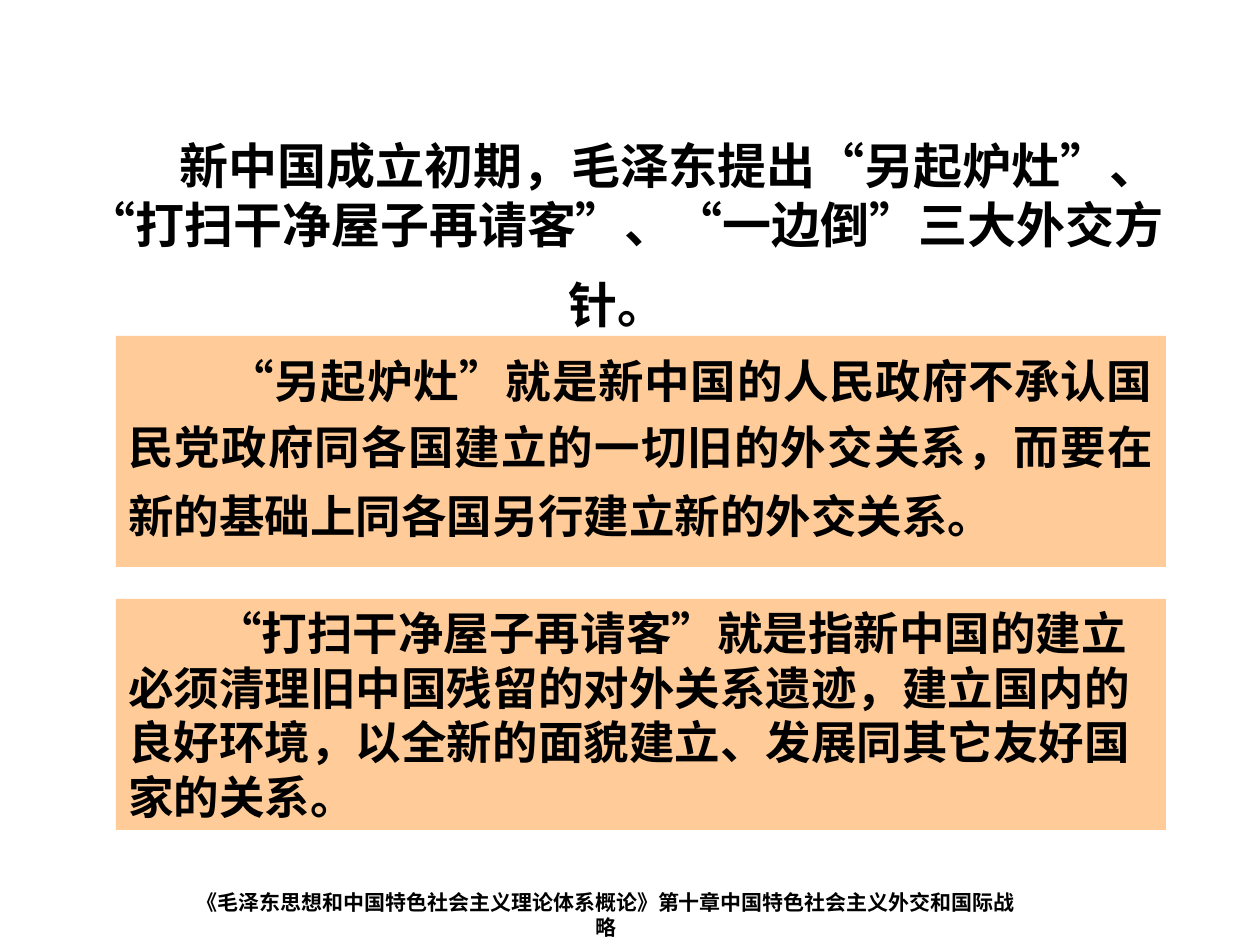
import pptx
import pptx.dml.color
import pptx.enum.shapes
import pptx.enum.text
import pptx.util

PX = 914400 / 126
COLORS = {"text": "000000", "panel": "FFCC99"}
FONT = "Arial"
ALIGN = pptx.enum.text.PP_ALIGN
ANCHOR = pptx.enum.text.MSO_ANCHOR
AUTO = pptx.enum.text.MSO_AUTO_SIZE


def px(n):
    return pptx.util.Emu(round(n * PX))


def rgb(name):
    return pptx.dml.color.RGBColor.from_string(COLORS[name])


def set_all(target, values):
    for name, value in values.items():
        setattr(target, name, value)


def add_run(p, text, size, bold=True):
    r = p.add_run()
    r.text = text
    set_all(r.font, {"name": FONT, "size": pptx.util.Pt(size), "bold": bold})
    r.font.color.rgb = rgb("text")


def fill_frame(sp, runs, indent=0, frame=None, para=None):
    """Write one paragraph of (text, size, bold) runs with a first-line indent in px."""
    tf = sp.text_frame
    set_all(tf, {"word_wrap": True, "vertical_anchor": ANCHOR.TOP,
                 "margin_left": pptx.util.Inches(0.1),
                 "margin_right": pptx.util.Inches(0.1),
                 "margin_top": pptx.util.Inches(0.05),
                 "margin_bottom": pptx.util.Inches(0.05), **(frame or {})})
    p = tf.paragraphs[0]
    set_all(p, {"alignment": ALIGN.LEFT, **(para or {})})
    if indent:
        p._p.get_or_add_pPr().set("indent", str(px(indent)))
    for run in runs:
        add_run(p, *run)


def add_heading(s, box):
    sp = s.shapes.add_textbox(*map(px, box))
    runs = [("新中国成立初期，毛泽东提出“另起炉灶”、“打扫干净屋子再请客”、"
             "“一边倒”三大外交方针。", 28), (" ", 40)]
    fill_frame(sp, runs, 88, {"vertical_anchor": ANCHOR.MIDDLE},
               {"alignment": ALIGN.CENTER})


def add_panel(s, box, runs, indent, para=None):
    sp = s.shapes.add_shape(pptx.enum.shapes.MSO_SHAPE.RECTANGLE, *map(px, box))
    sp.shadow.inherit = False
    sp.fill.solid()
    sp.fill.fore_color.rgb = rgb("panel")
    sp.line.fill.background()
    fill_frame(sp, runs, indent, para=para)


def add_panels(s, box, gap):
    """Stack the two explanations in the box, sharing its height equally."""
    x, y, w, h = box
    panel_h = (h - gap) // 2
    add_panel(s, (x, y, w, panel_h),
              [("“另起炉灶”就是新中国的人民政府不承认国民党政府同各国建立的一切旧的"
                "外交关系，而要在新的基础上同各国另行建立新的外交关系。", 26),
               (" ", 28, False)],
              100, {"alignment": ALIGN.JUSTIFY, "line_spacing": 1.2})
    add_panel(s, (x, y + panel_h + gap, w, panel_h),
              [("“打扫干净屋子再请客”就是指新中国的建立必须清理旧中国残留的对外关系"
                "遗迹，建立国内的良好环境，以全新的面貌建立、发展同其它友好国家的关系。", 26)],
              88)


def add_footer(s, box):
    sp = s.shapes.add_textbox(*map(px, box))
    fill_frame(sp, [("《毛泽东思想和中国特色社会主义理论体系概论》"
                     "第十章中国特色社会主义外交和国际战略", 12)],
               frame={"word_wrap": False, "auto_size": AUTO.SHAPE_TO_FIT_TEXT},
               para={"alignment": ALIGN.CENTER})


def main():
    prs = pptx.Presentation()
    set_all(prs, {"slide_width": px(1260), "slide_height": px(945)})
    s = prs.slides.add_slide(prs.slide_layouts[6])
    add_heading(s, (53, 84, 1144, 305))
    add_panels(s, (116, 336, 1050, 494), 32)
    add_footer(s, (174, 883, 864, 38))
    prs.save("out.pptx")


if __name__ == "__main__":
    main()
